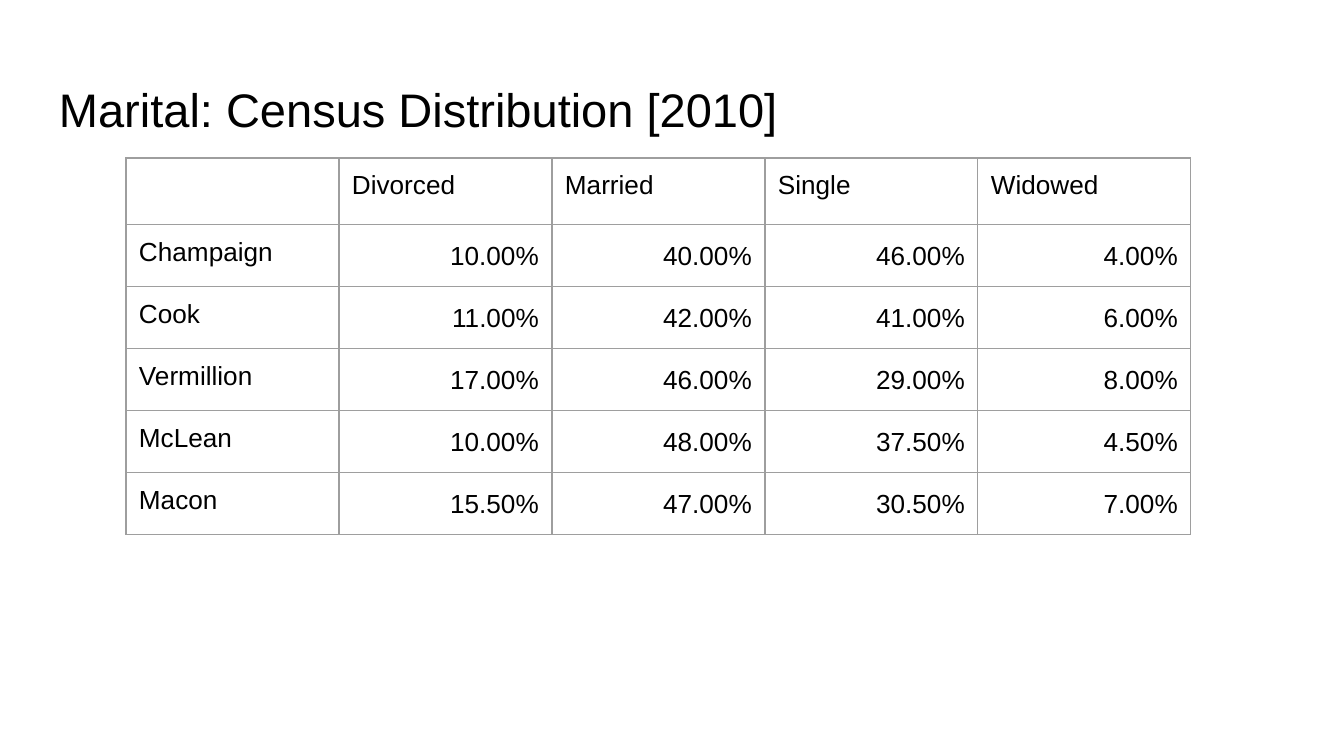
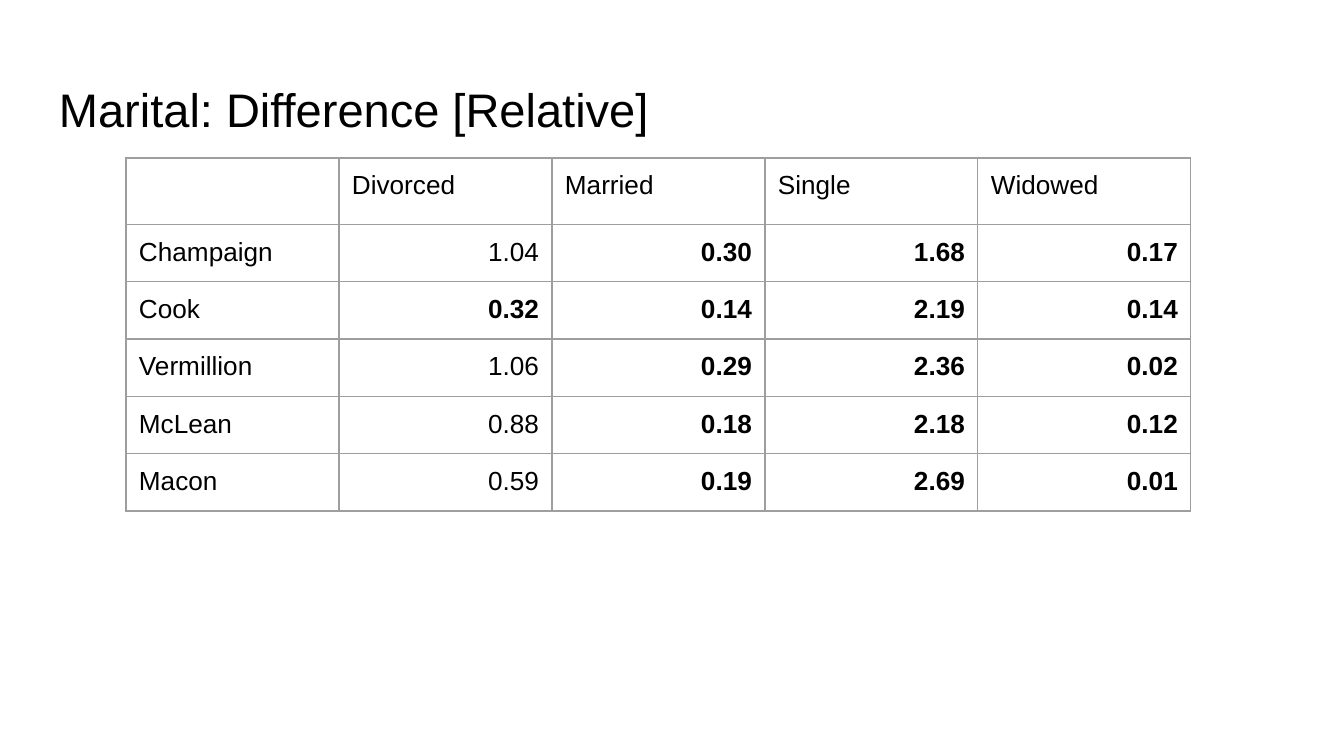
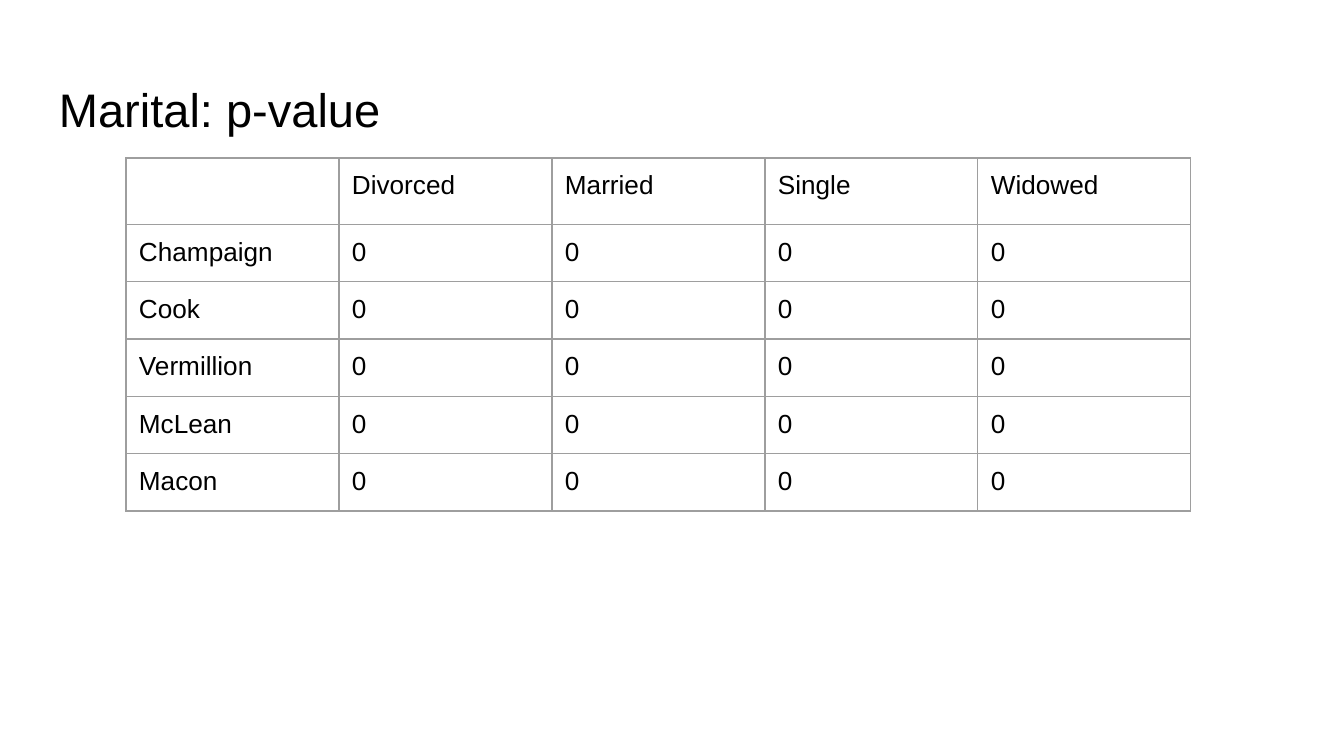
from pptx import Presentation
from pptx.dml.color import RGBColor
from pptx.enum.text import MSO_ANCHOR, PP_ALIGN
from pptx.oxml import parse_xml
from pptx.oxml.ns import nsdecls
from pptx.util import Pt

EMU_PER_INCH = 914400
PX_PER_INCH = 134.4
BLACK = RGBColor(0x00, 0x00, 0x00)
GRID_GREY = RGBColor(0x9E, 0x9E, 0x9E)
FONT = "Arial"
INSET = 13
TITLE_BOX = (46, 66, 1253, 84)
TABLE_ORIGIN = (126, 158)
COLUMN_WIDTH = 213
HEADER_HEIGHT = 65
ROW_HEIGHT = 56

STATUSES = ["Divorced", "Married", "Single", "Widowed"]
COUNTIES = ["Champaign", "Cook", "Vermillion", "McLean", "Macon"]

CENSUS_SHARES = [
    ["10.00%", "40.00%", "46.00%", "4.00%"],
    ["11.00%", "42.00%", "41.00%", "6.00%"],
    ["17.00%", "46.00%", "29.00%", "8.00%"],
    ["10.00%", "48.00%", "37.50%", "4.50%"],
    ["15.50%", "47.00%", "30.50%", "7.00%"],
]
RELATIVE_DIFFERENCES = [
    ["1.04", "0.30", "1.68", "0.17"],
    ["0.32", "0.14", "2.19", "0.14"],
    ["1.06", "0.29", "2.36", "0.02"],
    ["0.88", "0.18", "2.18", "0.12"],
    ["0.59", "0.19", "2.69", "0.01"],
]
P_VALUES = [["0"] * len(STATUSES) for county in COUNTIES]


def px(length):
    return round(length * EMU_PER_INCH / PX_PER_INCH)


def set_margins(target):
    """Give a text frame or a table cell the shared inset on all sides."""
    target.margin_left = target.margin_right = px(INSET)
    target.margin_top = target.margin_bottom = px(INSET)


def write(para, text, size, bold=False):
    span = para.add_run()
    span.text = text
    span.font.name = FONT
    span.font.size = Pt(size)
    span.font.bold = bold
    span.font.color.rgb = BLACK


def add_title(page, text, box):
    frame = page.shapes.add_textbox(*map(px, box)).text_frame
    frame.word_wrap = True
    frame.vertical_anchor = MSO_ANCHOR.BOTTOM
    set_margins(frame)
    write(frame.paragraphs[0], text, 25.2)


def style_cell(cell):
    """Clear the fill and draw a thin grey border on every side."""
    set_margins(cell)
    properties = cell._tc.get_or_add_tcPr()
    for side in ("lnL", "lnR", "lnT", "lnB"):
        properties.append(parse_xml(
            f'<a:{side} {nsdecls("a")} w="{Pt(0.75)}"><a:solidFill>'
            f'<a:srgbClr val="{GRID_GREY}"/></a:solidFill></a:{side}>'))
    cell.fill.background()


def add_county_table(page, origin, values, align, spacing, is_bold):
    """Draw counties by marital status; is_bold takes a county and a status."""
    rows, columns = len(COUNTIES) + 1, len(STATUSES) + 1
    height = HEADER_HEIGHT + ROW_HEIGHT * len(COUNTIES)
    box = (*origin, COLUMN_WIDTH * columns, height)
    table = page.shapes.add_table(rows, columns, *map(px, box)).table
    table.first_row = table.horz_banding = False
    for column in table.columns:
        column.width = px(COLUMN_WIDTH)
    for index, row in enumerate(table.rows):
        row.height = px(ROW_HEIGHT if index else HEADER_HEIGHT)
    for cell in table.iter_cells():
        style_cell(cell)

    for column, status in enumerate(STATUSES, 1):
        write(table.cell(0, column).text_frame.paragraphs[0], status, 14)
    for row, (county, figures) in enumerate(zip(COUNTIES, values), 1):
        write(table.cell(row, 0).text_frame.paragraphs[0], county, 14)
        for column, (status, figure) in enumerate(zip(STATUSES, figures), 1):
            para = table.cell(row, column).text_frame.paragraphs[0]
            para.alignment = align
            para.line_spacing = spacing
            write(para, figure, 14, is_bold(county, status))


def never(county, status):
    return False


def is_notable(county, status):
    return status != "Divorced" or county == "Cook"


def add_table_page(deck, title, values, align=PP_ALIGN.LEFT, spacing=1.0,
                   is_bold=never):
    page = deck.slides.add_slide(deck.slide_layouts[6])
    add_title(page, title, TITLE_BOX)
    add_county_table(page, TABLE_ORIGIN, values, align, spacing, is_bold)


def main():
    deck = Presentation()
    deck.slide_width, deck.slide_height = px(1344), px(756)
    add_table_page(deck, "Marital: Census Distribution [2010]", CENSUS_SHARES,
                   PP_ALIGN.RIGHT, spacing=1.15)
    add_table_page(deck, "Marital: Difference [Relative]",
                   RELATIVE_DIFFERENCES, PP_ALIGN.RIGHT, is_bold=is_notable)
    add_table_page(deck, "Marital: p-value", P_VALUES)
    deck.save("out.pptx")


if __name__ == "__main__":
    main()
